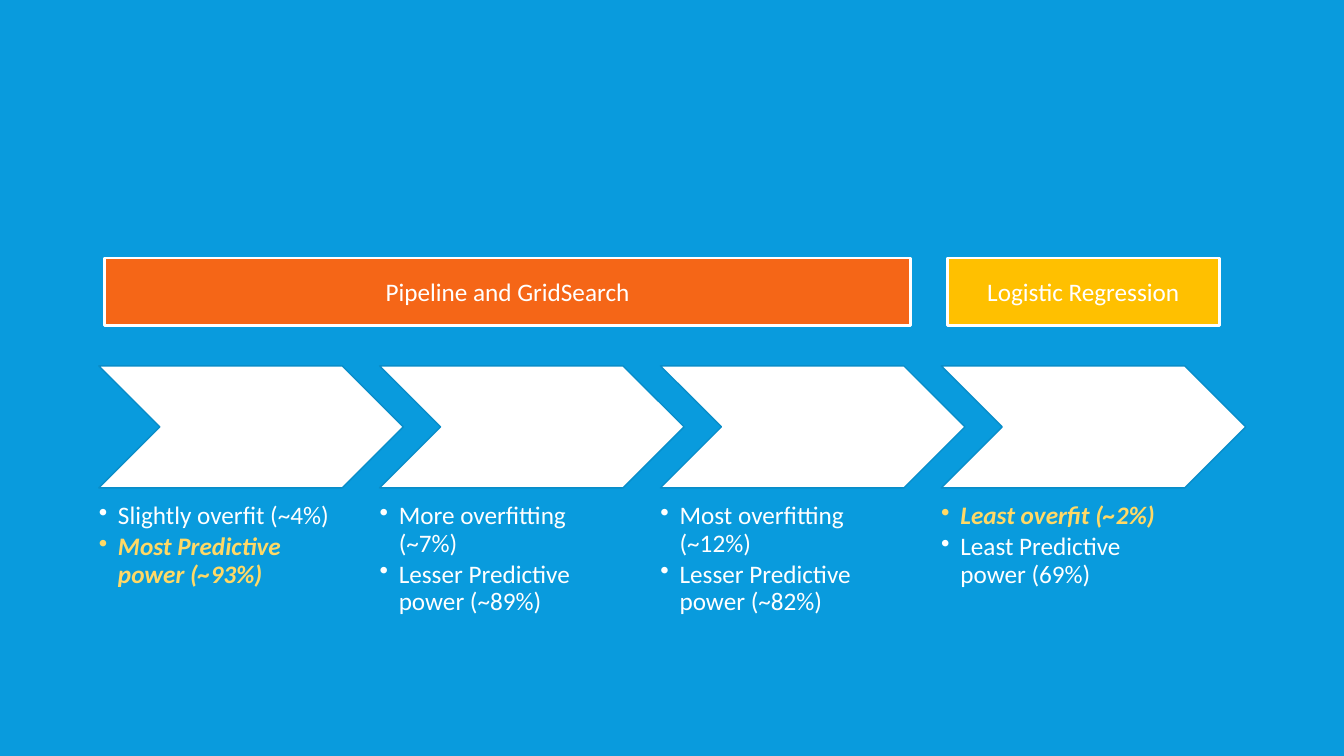
from lxml import etree
from pptx import Presentation
from pptx.dml.color import RGBColor
from pptx.enum.shapes import MSO_SHAPE as Shape
from pptx.enum.text import MSO_ANCHOR as Anchor, PP_ALIGN as Align
from pptx.oxml.ns import qn
from pptx.util import Inches, Pt

BLUE = RGBColor(0x09, 0x9B, 0xDD)
DARK_BLUE = RGBColor(0x08, 0x8D, 0xC9)
WHITE = RGBColor(0xFF, 0xFF, 0xFF)
ORANGE = RGBColor(0xF5, 0x66, 0x17)
GOLD = RGBColor(0xFF, 0xC0, 0x00)
PALE_GOLD = RGBColor(0xFF, 0xD9, 0x66)

# Content: each model's findings as (text, is best result)
MODELS = [
    [("Slightly overfit (~4%)", False), ("Most Predictive power (~93%)", True)],
    [("More overfitting (~7%)", False), ("Lesser Predictive power (~89%)", False)],
    [("Most overfitting (~12%)", False), ("Lesser Predictive power (~82%)", False)],
    [("Least overfit (~2%)", True), ("Least Predictive power (69%)", False)],
]
# Headings: text, first column, width in inches, fill
HEADINGS = [
    ("Pipeline and GridSearch", 0, 7.99, ORANGE),
    ("Logistic Regression", 3, 2.7, GOLD),
]

# Grid, in inches
LEFT, PITCH = 0.98, 2.785
HEADING_INSET, HEADING_TOP, HEADING_HEIGHT = 0.06, 2.56, 0.67
CHEVRON_TOP, CHEVRON_WIDTH, CHEVRON_HEIGHT = 3.63, 3.02, 1.21
NOTES_TOP, NOTES_WIDTH, NOTES_HEIGHT = 4.99, 2.42, 1.28
BULLET_INDENT = Inches(0.19)


def column_left(column):
    return LEFT + column * PITCH


def add_filled(page, kind, bounds, fill, line, line_width):
    shape = page.shapes.add_shape(kind, *map(Inches, bounds))
    shape.shadow.inherit = False
    shape.fill.solid()
    shape.fill.fore_color.rgb = fill
    shape.line.color.rgb = line
    shape.line.width = Pt(line_width)
    return shape


def write(para, text, color):
    para.text = text
    para.font.name = "Calibri"
    para.font.size = Pt(18)
    para.font.color.rgb = color


def add_findings(page, bounds, findings):
    frame = page.shapes.add_textbox(*map(Inches, bounds)).text_frame
    frame.word_wrap = True
    frame.margin_left = frame.margin_right = 0
    frame.margin_top = frame.margin_bottom = 0
    for index, (text, best) in enumerate(findings):
        para = frame.add_paragraph() if index else frame.paragraphs[0]
        write(para, text, PALE_GOLD if best else WHITE)
        para.font.bold = para.font.italic = best
        para.level = 1
        para.line_spacing = 0.9
        para.space_after = Pt(2.7)
        # Bullet with hanging indent
        properties = para._p.get_or_add_pPr()
        properties.set("marL", str(BULLET_INDENT))
        properties.set("indent", str(-BULLET_INDENT))
        bullet = etree.Element(qn("a:buChar"), char="•")
        properties.find(qn("a:defRPr")).addprevious(bullet)


def main():
    deck = Presentation()
    deck.slide_width, deck.slide_height = Inches(13.33), Inches(7.5)
    page = deck.slides.add_slide(deck.slide_layouts[6])
    page.background.fill.solid()
    page.background.fill.fore_color.rgb = BLUE

    # Chevrons with findings below
    for column, findings in enumerate(MODELS):
        left = column_left(column)
        add_filled(page, Shape.CHEVRON,
                   (left, CHEVRON_TOP, CHEVRON_WIDTH, CHEVRON_HEIGHT),
                   WHITE, DARK_BLUE, 1)
        add_findings(page, (left, NOTES_TOP, NOTES_WIDTH, NOTES_HEIGHT), findings)

    # Heading bars
    for text, column, width, fill in HEADINGS:
        left = column_left(column) + HEADING_INSET
        bar = add_filled(page, Shape.RECTANGLE,
                         (left, HEADING_TOP, width, HEADING_HEIGHT), fill, WHITE, 2)
        bar.text_frame.word_wrap = True
        bar.text_frame.vertical_anchor = Anchor.MIDDLE
        para = bar.text_frame.paragraphs[0]
        write(para, text, WHITE)
        para.alignment = Align.CENTER

    deck.save("out.pptx")


if __name__ == "__main__":
    main()
